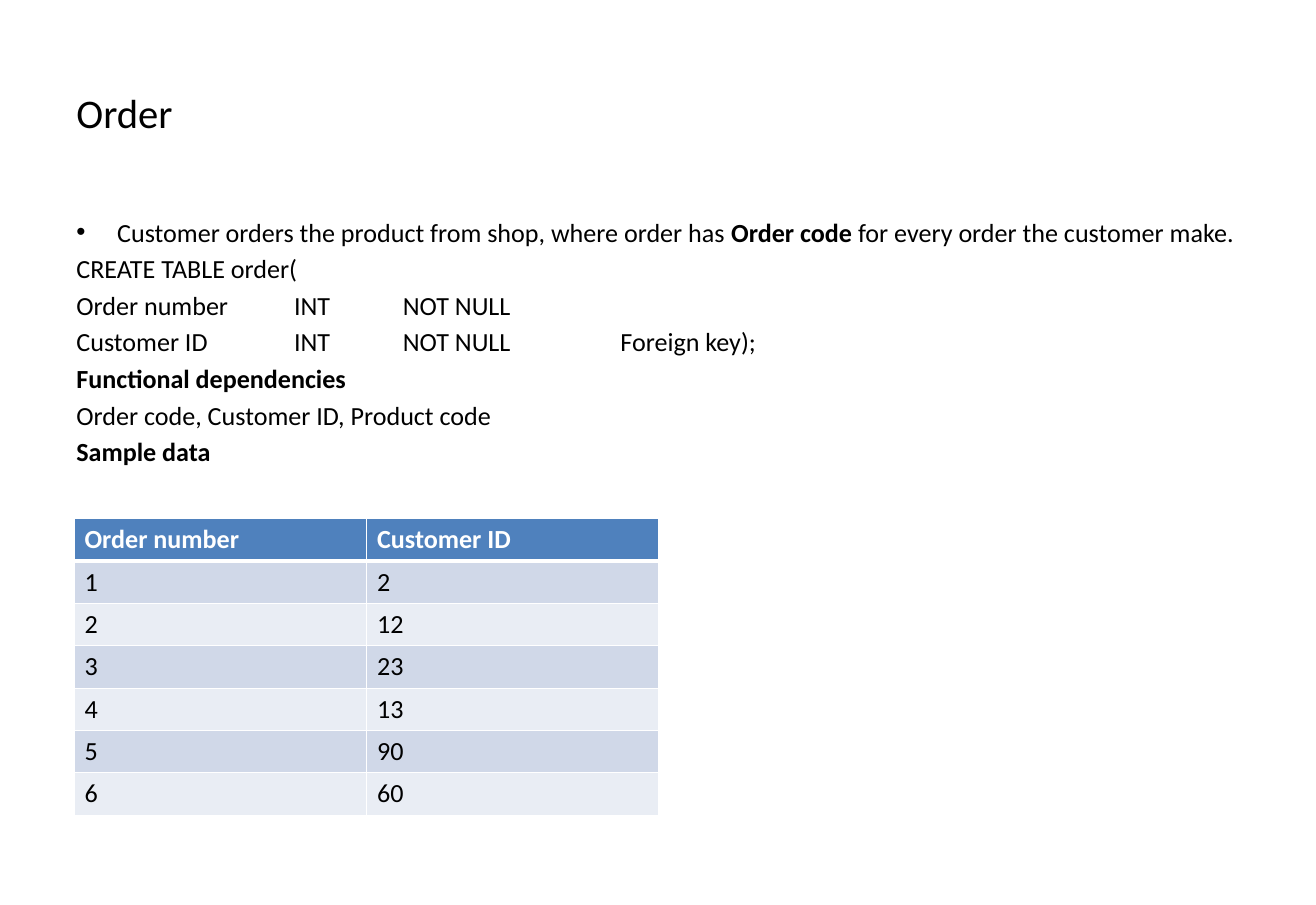
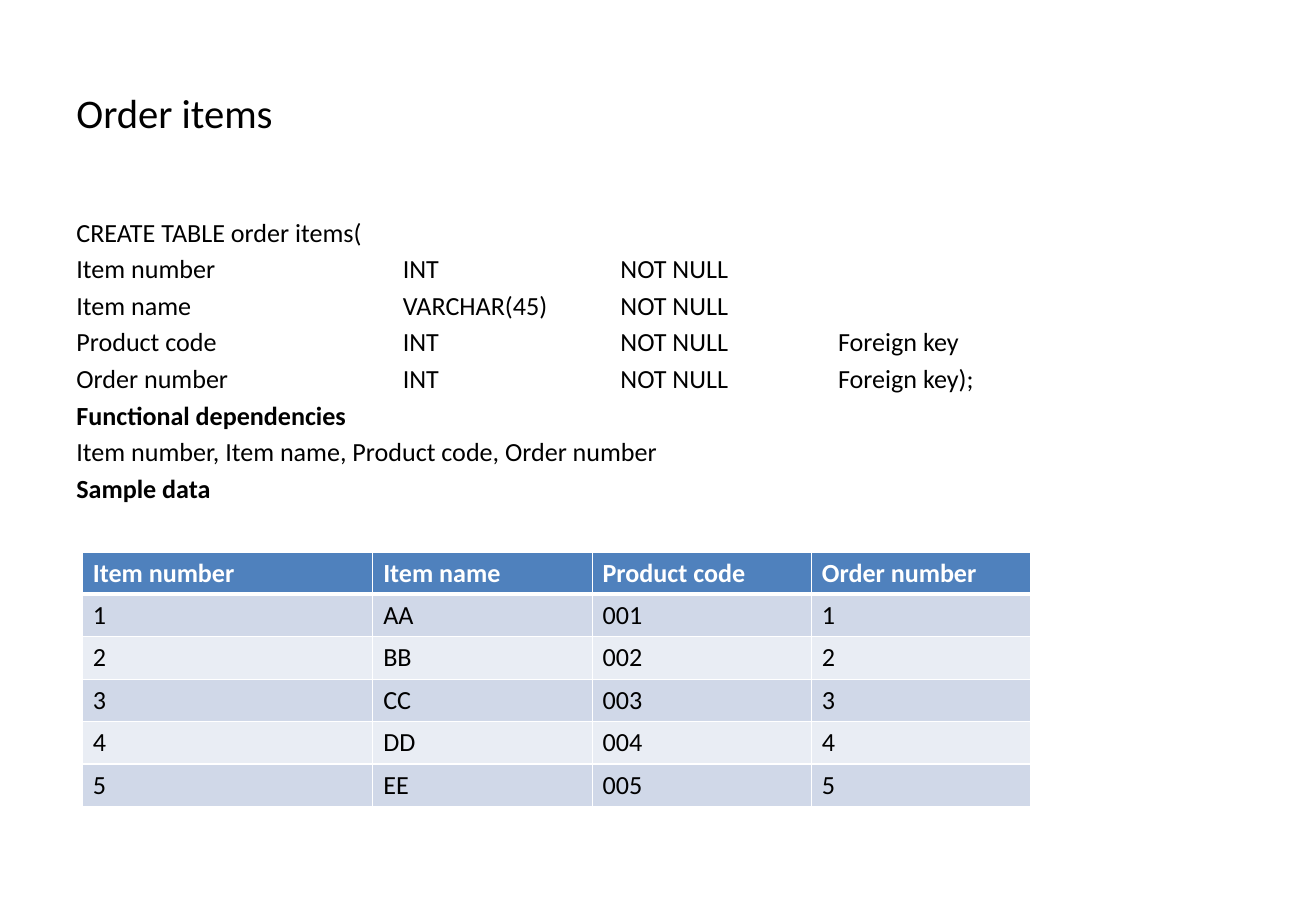
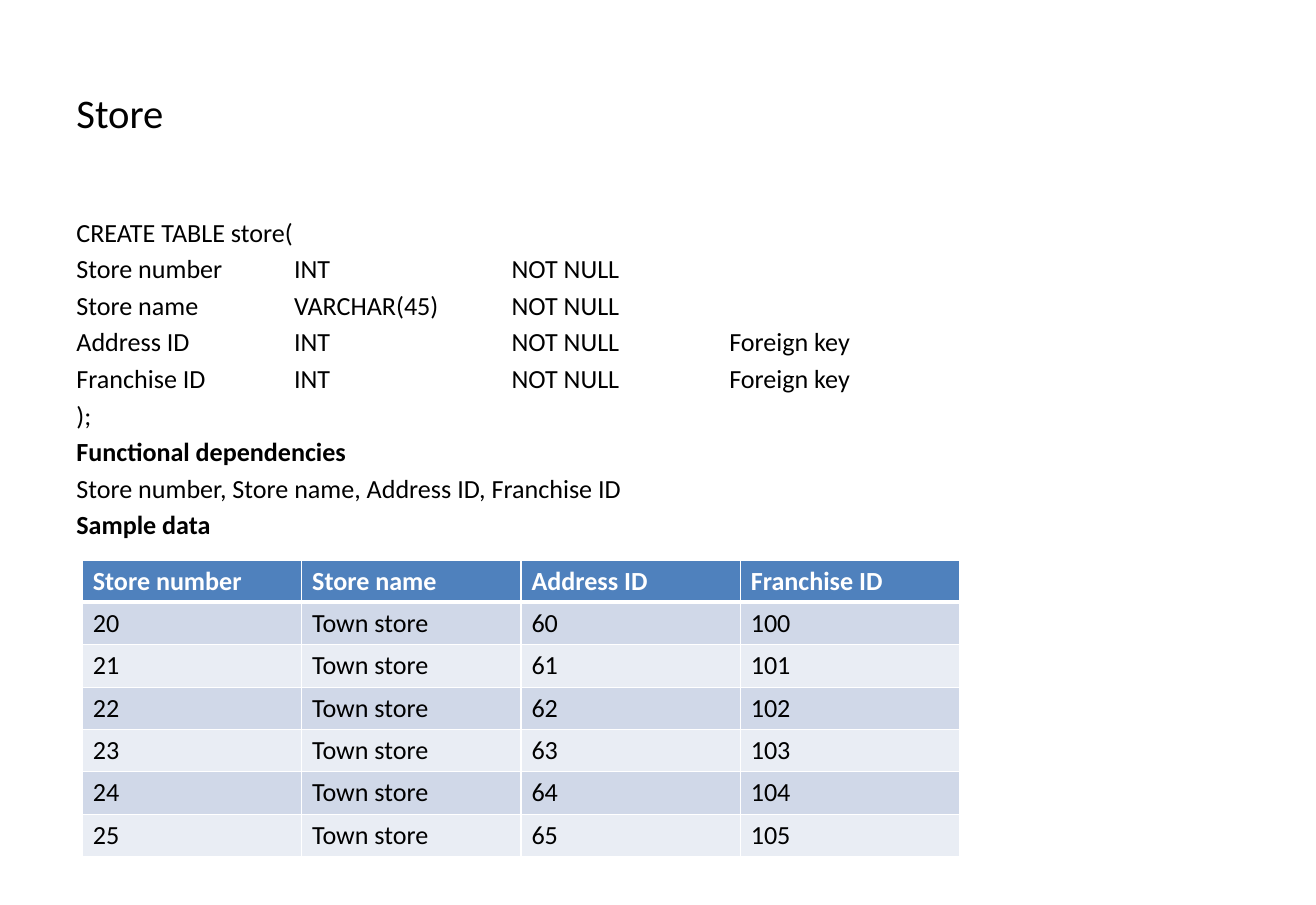
from dataclasses import dataclass

from lxml.etree import SubElement as Sub
from pptx import Presentation
from pptx.dml.color import RGBColor as RGB
from pptx.enum.text import MSO_ANCHOR as Anchor
from pptx.oxml import parse_xml
from pptx.oxml.ns import nsdecls, qn
from pptx.slide import Slide
from pptx.table import _Cell as Cell
from pptx.text.text import TextFrame as Frame, _Paragraph as Para
from pptx.util import Pt


@dataclass(frozen=True)
class Theme:
    face: str = "Calibri"
    ink: str = "000000"
    white: str = "FFFFFF"
    head: str = "4F81BD"
    bands: tuple[str, str] = ("D0D8E8", "E9EDF4")
    title: float = 28
    body: float = 18
    gap: float = 3.6
    indent: float = 28.1
    row: float = 29.2
    thin: float = 1
    thick: float = 3


@dataclass(frozen=True)
class Box:
    left: float
    top: float
    width: float
    height: float


@dataclass(frozen=True)
class Line:
    text: str
    bold: bool = False
    bullet: bool = False


@dataclass(frozen=True)
class Grid:
    left: float
    top: float
    cols: tuple[float, ...]
    rows: list[tuple[str, ...]]


@dataclass(frozen=True)
class Page:
    title: str
    tabs: tuple[float, ...]
    code: list[Line]
    keys: str
    grid: Grid


THEME = Theme()
TITLE = Box(45.6, 25.2, 816.5, 103.7)
BODY = Box(45.6, 145.4, 816.5, 411.8)


def style(para: Para, size: float, color: str, bold: bool = False) -> None:
    font = para.font
    font.name = THEME.face
    font.size = Pt(size)
    font.bold = bold
    font.color.rgb = RGB.from_string(color)


def add_box(slide: Slide, box: Box) -> Frame:
    shape = slide.shapes.add_textbox(
        Pt(box.left), Pt(box.top), Pt(box.width), Pt(box.height))
    shape.text_frame.word_wrap = True
    return shape.text_frame


def set_tabs(para: Para, tabs: tuple[float, ...]) -> None:
    stops = parse_xml(f"<a:tabLst {nsdecls('a')}/>")
    for pos in tabs:
        Sub(stops, qn("a:tab"), pos=str(Pt(pos)), algn="l")
    para._p.pPr.find(qn("a:defRPr")).addprevious(stops)


def set_bullet(para: Para) -> None:
    props = para._p.pPr
    props.set("marL", str(Pt(THEME.indent)))
    props.set("indent", str(-Pt(THEME.indent)))
    last = props.find(qn("a:defRPr"))
    last.addprevious(parse_xml(
        f'<a:buFont {nsdecls("a")} typeface="Arial"/>'))
    last.addprevious(parse_xml(f'<a:buChar {nsdecls("a")} char="•"/>'))


def add_line(para: Para, line: Line, tabs: tuple[float, ...]) -> None:
    style(para, THEME.body, THEME.ink, line.bold)
    para.space_after = Pt(THEME.gap)
    if line.bullet:
        set_bullet(para)
    if "\t" in line.text:
        set_tabs(para, tabs)
    for idx, part in enumerate(line.text.split("*")):
        run = para.add_run()
        run.text = part
        if idx % 2:
            run.font.bold = True


def set_edges(cell: Cell, top: float, base: float) -> None:
    thin = THEME.thin
    edges = {"lnL": thin, "lnR": thin, "lnT": top, "lnB": base}
    props = cell._tc.get_or_add_tcPr()
    for idx, (tag, width) in enumerate(edges.items()):
        props.insert(idx, parse_xml(
            f'<a:{tag} {nsdecls("a")} w="{Pt(width)}"><a:solidFill>'
            f'<a:srgbClr val="{THEME.white}"/></a:solidFill></a:{tag}>'))


def add_grid(slide: Slide, grid: Grid) -> None:
    count = len(grid.rows)
    table = slide.shapes.add_table(
        count, len(grid.cols), Pt(grid.left), Pt(grid.top),
        Pt(sum(grid.cols)), Pt(THEME.row * count)).table
    for col, width in zip(table.columns, grid.cols):
        col.width = Pt(width)
    for row, texts in enumerate(grid.rows):
        table.rows[row].height = Pt(THEME.row)
        head = row == 0
        fill = THEME.head if head else THEME.bands[(row - 1) % 2]
        color = THEME.white if head else THEME.ink
        top = THEME.thick if row == 1 else THEME.thin
        base = THEME.thick if head else THEME.thin
        for col, text in enumerate(texts):
            cell = table.cell(row, col)
            cell.text = text
            cell.fill.solid()
            cell.fill.fore_color.rgb = RGB.from_string(fill)
            style(cell.text_frame.paragraphs[0], THEME.body, color, head)
            set_edges(cell, top, base)


def add_page(deck: Presentation, page: Page) -> None:
    slide = deck.slides.add_slide(deck.slide_layouts[6])
    frame = add_box(slide, TITLE)
    frame.vertical_anchor = Anchor.MIDDLE
    frame.text = page.title
    style(frame.paragraphs[0], THEME.title, THEME.ink)
    frame = add_box(slide, BODY)
    lines = page.code + [
        Line("Functional dependencies", bold=True),
        Line(page.keys),
        Line("Sample data", bold=True),
    ]
    for idx, line in enumerate(lines):
        para = frame.add_paragraph() if idx else frame.paragraphs[0]
        add_line(para, line, page.tabs)
    add_grid(slide, page.grid)


ORDER = Page(
    "Order", (150, 225, 375),
    [
        Line("Customer orders the product from shop, where order has "
             "*Order code *for every order the customer make.", bullet=True),
        Line("CREATE TABLE order("),
        Line("Order number\tINT\tNOT NULL"),
        Line("Customer ID\tINT\tNOT NULL\tForeign key);"),
    ],
    "Order code, Customer ID, Product code",
    Grid(51.1, 357.4, (201.6,) * 2, [
        ("Order number", "Customer ID"),
        ("1", "2"),
        ("2", "12"),
        ("3", "23"),
        ("4", "13"),
        ("5", "90"),
        ("6", "60"),
    ]),
)

ITEMS = Page(
    "Order items", (225, 375, 525),
    [
        Line("CREATE TABLE order items("),
        Line("Item number\tINT\tNOT NULL"),
        Line("Item name\tVARCHAR(45)\tNOT NULL"),
        Line("Product code\tINT\tNOT NULL\tForeign key"),
        Line("Order number\tINT\tNOT NULL\tForeign key);"),
    ],
    "Item number, Item name, Product code, Order number",
    Grid(56.8, 380.4, (200.2,) + (151.2,) * 3, [
        ("Item number", "Item name", "Product code", "Order number"),
        *((str(num), name * 2, f"{num:03}", str(num))
          for num, name in enumerate("ABCDE", 1)),
    ]),
)

STORE = Page(
    "Store", (150, 300, 450),
    [
        Line("CREATE TABLE store("),
        Line("Store number\tINT\tNOT NULL"),
        Line("Store name\tVARCHAR(45)\tNOT NULL"),
        Line("Address ID\tINT\tNOT NULL\tForeign key"),
        Line("Franchise ID\tINT\tNOT NULL\tForeign key"),
        Line(");"),
    ],
    "Store number, Store name, Address ID, Franchise ID",
    Grid(56.8, 385.9, (151.2,) * 4, [
        ("Store number", "Store name", "Address ID", "Franchise ID"),
        *((str(20 + num), "Town store", str(60 + num), str(100 + num))
          for num in range(6)),
    ]),
)

deck = Presentation()
deck.slide_width = Pt(907.09)
deck.slide_height = Pt(623.62)
for page in (ORDER, ITEMS, STORE):
    add_page(deck, page)
deck.save("out.pptx")
